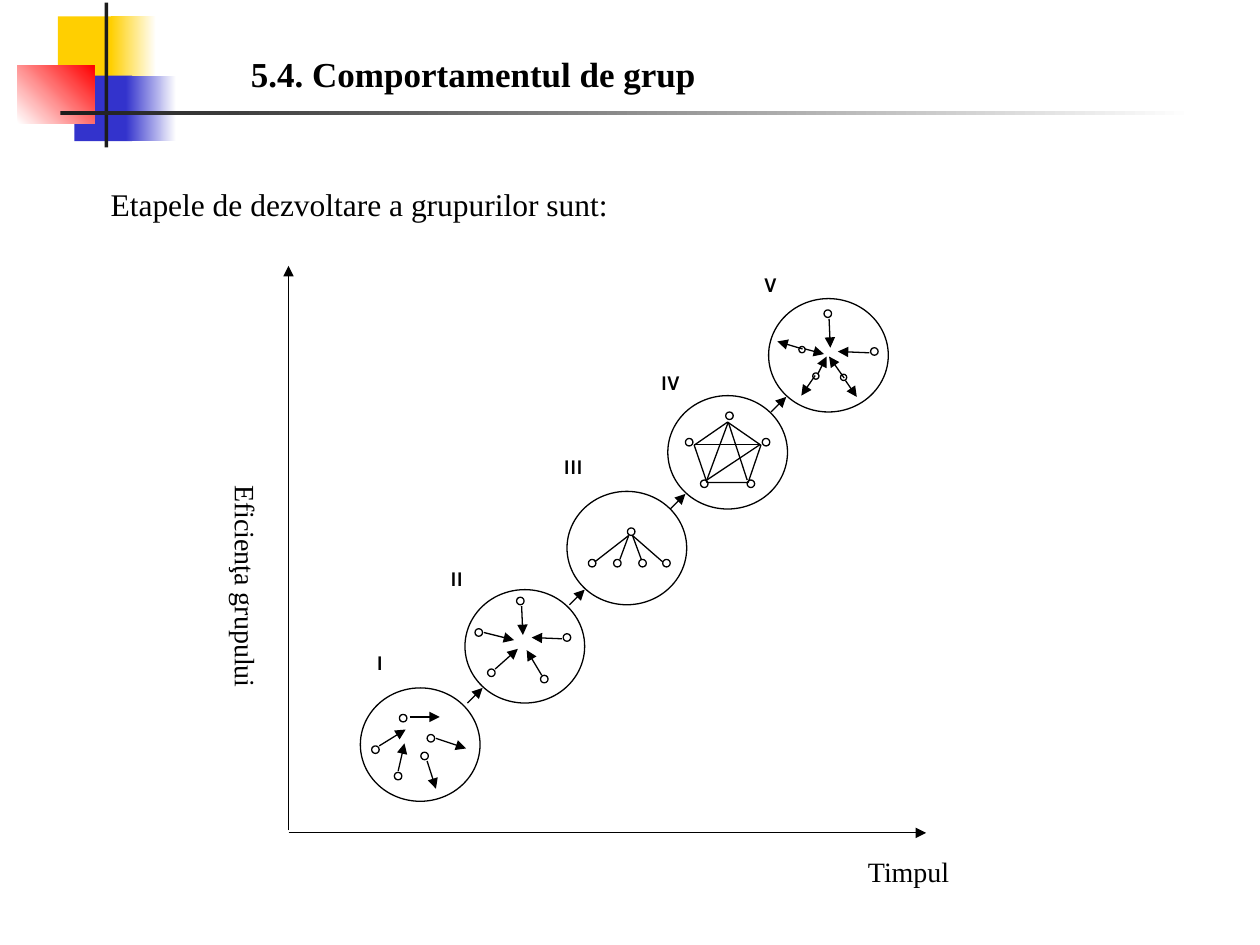
import pptx
import pptx.util
import pptx.dml.color
import pptx.enum.shapes
import pptx.enum.text
import pptx.oxml.ns
import lxml.etree

Inches = pptx.util.Inches
SHAPE = pptx.enum.shapes.MSO_SHAPE
ALIGN = pptx.enum.text.PP_ALIGN
ANCHOR = pptx.enum.text.MSO_ANCHOR
SERIF, SANS = "Times New Roman", "Karla"
BLACK, WHITE = "000000", "FFFFFF"
CIRCLE_WIDTH, CIRCLE_HEIGHT = 0.95, 0.9
DOT, SMALL_DOT = 0.06, 0.05

# Each stage: circle corner, label and its box, then parts measured from the corner
STAGES = [
    dict(at=(2.86, 5.46), label="I", label_box=(2.78, 5.11, 0.47, 0.44),
         dots=[(0.31, 0.21), (0.53, 0.37), (0.27, 0.67), (0.48, 0.51), (0.09, 0.46)],
         arrows=[(0.39, 0.23, 0.63, 0.23), (0.6, 0.4, 0.84, 0.48), (0.3, 0.66, 0.35, 0.44),
                 (0.53, 0.58, 0.6, 0.8), (0.15, 0.46, 0.36, 0.33)]),
    dict(at=(3.69, 4.68), label="II", label_box=(3.39, 4.44, 0.47, 0.4),
         dots=[(0.41, 0.06), (0.78, 0.35), (0.18, 0.63), (0.6, 0.68), (0.08, 0.31)],
         arrows=[(0.45, 0.13, 0.46, 0.36), (0.77, 0.39, 0.53, 0.38), (0.24, 0.63, 0.42, 0.47),
                 (0.61, 0.68, 0.49, 0.48), (0.15, 0.34, 0.39, 0.4)]),
    dict(at=(4.5, 3.9), label="III", label_box=(4.28, 3.55, 0.54, 0.44),
         dots=[(0.48, 0.29), (0.17, 0.54), (0.37, 0.54), (0.57, 0.54), (0.76, 0.54)],
         lines=[(0.49, 0.35, 0.22, 0.56), (0.49, 0.35, 0.42, 0.54),
                (0.52, 0.35, 0.59, 0.54), (0.52, 0.35, 0.76, 0.56)]),
    dict(at=(5.3, 3.14), label="IV", label_box=(4.99, 2.88, 0.66, 0.44),
         dots=[(0.46, 0.13), (0.63, 0.67), (0.26, 0.67), (0.75, 0.34), (0.14, 0.34)],
         pentagon=(0.21, 0.21, 0.53, 0.48),
         lines=[(0.73, 0.39, 0.31, 0.67), (0.48, 0.21, 0.31, 0.67),
                (0.48, 0.21, 0.63, 0.67), (0.21, 0.39, 0.73, 0.39)]),
    dict(at=(6.1, 2.37), label="V", label_box=(5.88, 2.11, 0.47, 0.44),
         dots=[(0.44, 0.09), (0.81, 0.39)],
         small_dots=[(0.24, 0.38), (0.57, 0.6), (0.35, 0.59)],
         arrows=[(0.29, 0.4, 0.44, 0.44), (0.27, 0.4, 0.07, 0.34), (0.61, 0.65, 0.7, 0.78),
                 (0.6, 0.63, 0.48, 0.46), (0.39, 0.6, 0.46, 0.46), (0.37, 0.61, 0.26, 0.77),
                 (0.48, 0.16, 0.49, 0.39), (0.8, 0.43, 0.55, 0.42)]),
]


def colour(value):
    return pptx.dml.color.RGBColor.from_string(value)


def set_attributes(target, values):
    for name, value in values.items():
        setattr(target, name, value)


def add_shape(page, kind, box, fill=None, line=None, angle=0):
    """Fill is None, one colour, or a pair of gradient colours."""
    shape = page.shapes.add_shape(kind, *map(Inches, box))
    shape.shadow.inherit = False
    if fill is None:
        shape.fill.background()
    elif isinstance(fill, str):
        shape.fill.solid()
        shape.fill.fore_color.rgb = colour(fill)
    else:
        shape.fill.gradient()
        shape.fill.gradient_angle = angle
        for stop, value in zip(shape.fill.gradient_stops, fill):
            stop.color.rgb = colour(value)
    if line:
        shape.line.color.rgb = colour(line)
        shape.line.width = pptx.util.Pt(0.75)
    else:
        shape.line.fill.background()
    return shape


def add_line(page, ends, arrow=False):
    line = page.shapes.add_connector(
        pptx.enum.shapes.MSO_CONNECTOR.STRAIGHT, *map(Inches, ends))
    line.line.color.rgb = colour(BLACK)
    line.line.width = pptx.util.Pt(0.75)
    if arrow:
        head = lxml.etree.SubElement(line.line._get_or_add_ln(),
                                     pptx.oxml.ns.qn("a:tailEnd"))
        head.set("type", "triangle")
    lxml.etree.SubElement(line._element.spPr, pptx.oxml.ns.qn("a:effectLst"))


def write_text(box, text, size, font=SERIF, bold=False, align=ALIGN.LEFT, **frame_values):
    frame = box.text_frame
    set_attributes(frame, dict(word_wrap=True, vertical_anchor=ANCHOR.TOP,
                               auto_size=pptx.enum.text.MSO_AUTO_SIZE.NONE) | frame_values)
    para = frame.paragraphs[0]
    para.alignment = align
    span = para.add_run()
    span.text = text
    set_attributes(span.font, dict(name=font, size=pptx.util.Pt(size), bold=bold))
    span.font.color.rgb = colour(BLACK)


def add_text(page, box, text, size, **values):
    text_box = page.shapes.add_textbox(*map(Inches, box))
    write_text(text_box, text, size, **values)
    return text_box


def add_title(page, box, text):
    title = page.shapes.title
    set_attributes(title, dict(zip(("left", "top", "width", "height"), map(Inches, box))))
    write_text(title, text, 20, bold=True, word_wrap=False)


def add_ornament(page, left, top):
    """Coloured squares with a cross of two dark bars."""
    blocks = [
        ((0.32, 0.11, 0.48, 0.52), "FFCF01", 0),
        ((0.74, 0.11, 0.36, 0.52), ("FFCF01", WHITE), 0),
        ((0.45, 0.58, 0.46, 0.52), "3333CC", 0),
        ((0.86, 0.58, 0.4, 0.52), ("3333CC", WHITE), 0),
        ((0, 0.5, 0.61, 0.46), (WHITE, "FF0000"), 45),
        ((0.69, 0, 0.03, 1.15), "1C1C1C", 0),
        ((0.34, 0.86, 9, 0.03), ("1C1C1C", WHITE), 0),
    ]
    for (x, y, width, height), fill, angle in blocks:
        add_shape(page, SHAPE.RECTANGLE, (left + x, top + y, width, height), fill, angle=angle)


def add_axes(page, left, top, right, bottom):
    add_line(page, (left, bottom, right, bottom), arrow=True)
    add_line(page, (left, bottom - 0.02, left, top), arrow=True)
    add_text(page, (right - 0.56, bottom + 0.12, 1.02, 0.41), "Timpul", 16)
    side, end = Inches(0.05), Inches(0.1)
    label = add_text(page, (left - 0.52, 3.75, 0.58, 1.82), "Eficienţa grupului", 16,
                     align=ALIGN.CENTER, vertical_anchor=ANCHOR.BOTTOM,
                     margin_left=side, margin_right=side, margin_top=end, margin_bottom=end)
    label.text_frame._txBody.bodyPr.set("vert", "eaVert")


def add_stage(page, stage):
    left, top = stage["at"]
    add_shape(page, SHAPE.OVAL, (left, top, CIRCLE_WIDTH, CIRCLE_HEIGHT), line=BLACK)
    # Group members
    for key, size in (("dots", DOT), ("small_dots", SMALL_DOT)):
        for x, y in stage.get(key, []):
            add_shape(page, SHAPE.OVAL, (left + x, top + y, size, size), WHITE, BLACK)
    # Relations between members
    if "pentagon" in stage:
        x, y, width, height = stage["pentagon"]
        add_shape(page, SHAPE.REGULAR_PENTAGON, (left + x, top + y, width, height), line=BLACK)
    for key in ("lines", "arrows"):
        for x1, y1, x2, y2 in stage.get(key, []):
            add_line(page, (left + x1, top + y1, left + x2, top + y2), arrow=key == "arrows")
    add_text(page, stage["label_box"], stage["label"], 12, font=SANS, bold=True,
             align=ALIGN.CENTER)


def add_step(page, left, top):
    """Short arrow leading into the circle whose corner is given."""
    x, y = left + 0.02, top + CIRCLE_HEIGHT
    add_line(page, (x, y, x + 0.12, y - 0.12), arrow=True)


def main():
    deck = pptx.Presentation()
    deck.slide_width, deck.slide_height = Inches(10), Inches(7.5)
    page = deck.slides.add_slide(deck.slide_layouts[5])
    add_ornament(page, 0.14, 0.02)
    add_title(page, (1.89, 0.37, 3.8, 0.44), "5.4. Comportamentul de grup")
    add_text(page, (0.78, 1.42, 8.94, 0.4), "Etapele de dezvoltare a grupurilor sunt:", 18,
             align=ALIGN.JUSTIFY, vertical_anchor=ANCHOR.MIDDLE)
    add_axes(page, 2.29, 2.11, 7.35, 6.61)
    for stage in STAGES:
        add_stage(page, stage)
    for stage in STAGES[1:]:
        add_step(page, *stage["at"])
    deck.save("out.pptx")


if __name__ == "__main__":
    main()
